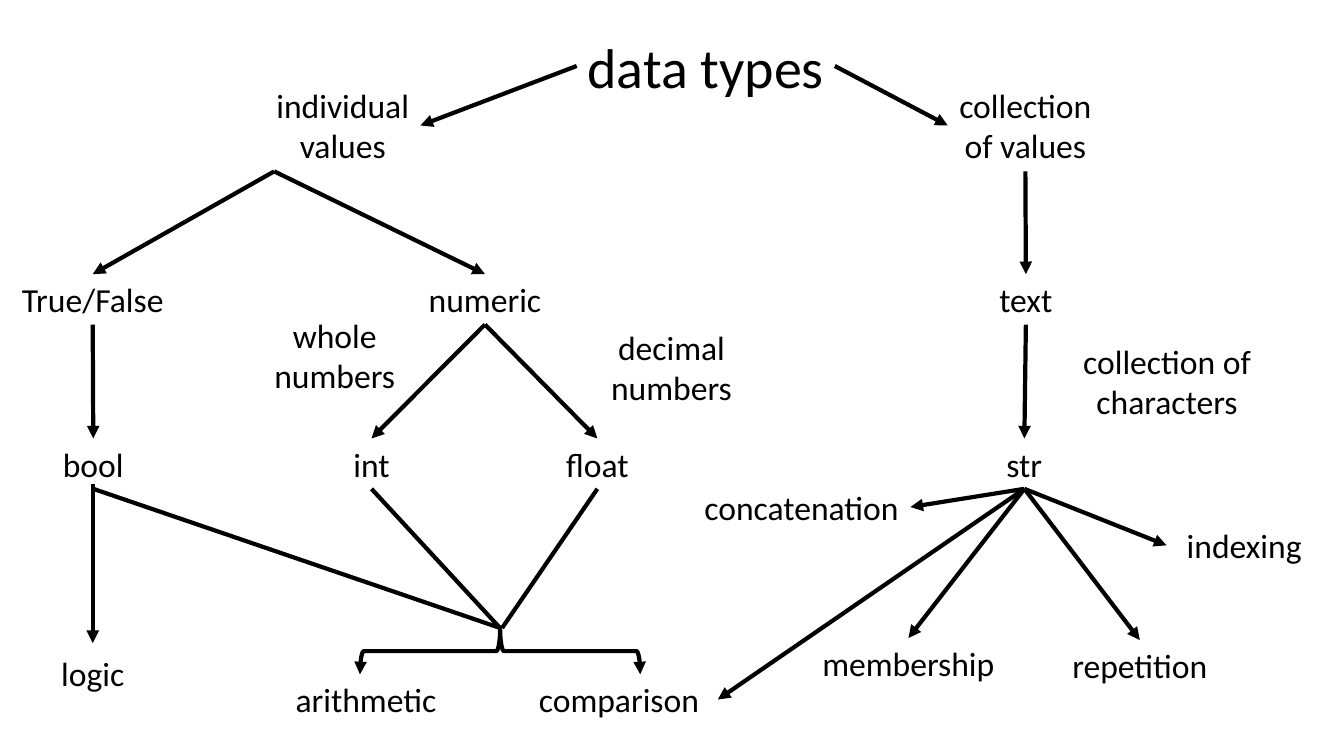
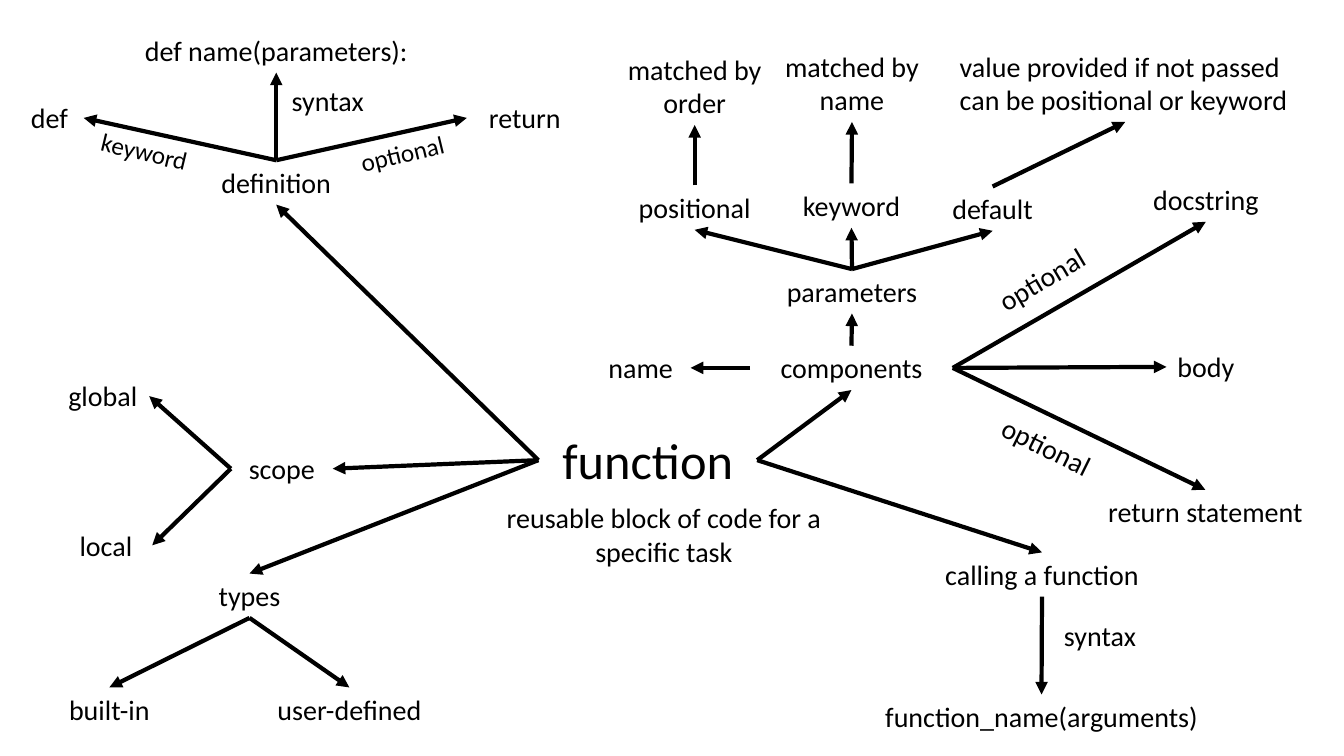
from dataclasses import dataclass

from lxml import etree
from pptx import Presentation
from pptx.dml.color import RGBColor
from pptx.enum.shapes import MSO_CONNECTOR, MSO_SHAPE
from pptx.enum.text import MSO_AUTO_SIZE, PP_ALIGN
from pptx.oxml.ns import qn
from pptx.util import Inches, Pt

STRAIGHT = MSO_CONNECTOR.STRAIGHT
LEFT_BRACE = MSO_SHAPE.LEFT_BRACE
FIT_SHAPE = MSO_AUTO_SIZE.SHAPE_TO_FIT_TEXT
ALIGN_CENTER, ALIGN_LEFT = PP_ALIGN.CENTER, PP_ALIGN.LEFT
TOP, LEFT, BOTTOM, RIGHT = range(4)


@dataclass(frozen=True)
class Theme:
    font: str = "Calibri"
    ink: RGBColor = RGBColor(0x00, 0x00, 0x00)
    paper: RGBColor = RGBColor(0xFF, 0xFF, 0xFF)
    line: float = 3
    types_title: int = 40
    types_label: int = 24
    function_title: int = 36
    function_label: int = 20
    function_note: int = 18


THEME = Theme()


def add_label(s, text, box, size, align=ALIGN_CENTER, rotation=0, filled=False):
    label = s.shapes.add_textbox(*map(Inches, box))
    label.rotation = rotation
    if filled:
        label.fill.solid()
        label.fill.fore_color.rgb = THEME.paper
    tf = label.text_frame
    tf.word_wrap = True
    tf.auto_size = FIT_SHAPE
    for i, line in enumerate(text.split("\n")):
        p = tf.paragraphs[0] if i == 0 else tf.add_paragraph()
        p.alignment = align
        r = p.add_run()
        r.text = line
        r.font.name = THEME.font
        r.font.size = Pt(size)
        r.font.color.rgb = THEME.ink
    return label


def style_line(shape, *arrow_ends):
    """Draw the theme line; arrow_ends names headEnd and/or tailEnd, in that order."""
    shape.line.color.rgb = THEME.ink
    shape.line.width = Pt(THEME.line)
    ln = shape.element.spPr.find(qn("a:ln"))
    for end in arrow_ends:
        etree.SubElement(ln, qn(f"a:{end}"), type="triangle")


def add_link(s, nodes, start, end, arrow=True):
    """Join two ends, each a (node name, side) pair or an (x, y) point."""
    points = [(0, 0) if isinstance(e[0], str) else e for e in (start, end)]
    cxn = s.shapes.add_connector(STRAIGHT, *(Inches(v) for pt in points for v in pt))
    for e, connect in ((start, cxn.begin_connect), (end, cxn.end_connect)):
        if isinstance(e[0], str):
            connect(nodes[e[0]], e[1])
    style_line(cxn, *(["tailEnd"] if arrow else []))
    etree.SubElement(cxn.element.spPr, qn("a:effectLst"))


def add_fans(s, nodes, fans):
    """Each fan is a start followed by the ends its arrows reach."""
    for start, *ends in fans:
        for end in ends:
            add_link(s, nodes, start, end)


def add_brace(s, box):
    brace = s.shapes.add_shape(LEFT_BRACE, *map(Inches, box))
    brace.rotation = 90
    brace.shadow.inherit = False
    brace.fill.background()
    style_line(brace, "headEnd", "tailEnd")


def build_data_types(s):
    size, height = THEME.types_label, 0.5
    nodes = {"data types": add_label(s, "data types", (5.72, 0.27, 2.56, 0.77),
                                     THEME.types_title, filled=True)}
    for text, x in (("individual values", 2.63), ("collection of values", 9.4)):
        nodes[text] = add_label(s, text, (x, 0.79, 1.54, 0.91), size, filled=True)
    for text, x, y, w in (
        ("True/False", 0.1, 2.72, 1.64),
        ("numeric", 4.12, 2.72, 1.38),
        ("text", 9.81, 2.72, 0.73),
        ("bool", 0.51, 4.35, 0.83),
        ("int", 3.4, 4.35, 0.57),
        ("float", 5.5, 4.35, 0.85),
        ("str", 9.86, 4.35, 0.6),
        ("logic", 0.43, 6.43, 0.98),
        ("arithmetic", 2.78, 6.69, 1.7),
        ("comparison", 5.16, 6.69, 1.96),
        ("concatenation", 6.87, 4.78, 2.16),
        ("membership", 7.93, 6.33, 2.16),
        ("repetition", 10.46, 6.35, 1.69),
        ("indexing", 11.57, 5.16, 1.54),
    ):
        nodes[text] = add_label(s, text, (x, y, w, height), size)
    for text, x, y, w in (
        ("whole numbers", 2.53, 3.07, 1.58),
        ("decimal numbers", 5.87, 3.19, 1.58),
        ("collection of characters", 10.38, 3.33, 2.39),
    ):
        add_label(s, text, (x, y, w, 0.91), size)

    add_fans(s, nodes, (
        (("data types", LEFT), ("individual values", RIGHT)),
        (("data types", RIGHT), ("collection of values", LEFT)),
        ((2.72, 1.7), ("True/False", TOP), ("numeric", TOP)),
        (("collection of values", BOTTOM), ("text", TOP)),
        (("True/False", BOTTOM), ("bool", TOP)),
        (("numeric", BOTTOM), ("int", TOP), ("float", TOP)),
        (("text", BOTTOM), ("str", TOP)),
        ((0.92, 4.8), (0.92, 6.38)),
        (("str", BOTTOM), ("concatenation", RIGHT), ("indexing", LEFT),
         ("repetition", TOP), ("membership", TOP), ("comparison", RIGHT)),
    ))
    add_brace(s, (4.73, 5.07, 0.46, 2.78))
    for text, x in (("bool", 4.96), ("int", 4.96), ("float", 4.98)):
        add_link(s, nodes, (text, BOTTOM), (x, 6.23), arrow=False)


def build_function(s):
    size, one_line, two_lines = THEME.function_label, 0.44, 0.77
    nodes = {"function": add_label(s, "function", (5.34, 4.21, 2.17, 0.71),
                                   THEME.function_title, filled=True)}
    for text, x, y, w in (
        ("definition", 1.97, 1.59, 1.54),
        ("def", 0.15, 0.95, 0.68),
        ("def name(parameters):", 1.3, 0.28, 2.88),
        ("return", 4.63, 0.95, 1.15),
        ("components", 7.44, 3.43, 2.01),
        ("name", 5.86, 3.43, 0.99),
        ("parameters", 7.35, 2.67, 2.2),
        ("positional", 6.07, 1.84, 1.64),
        ("keyword", 7.82, 1.82, 1.25),
        ("default", 9.31, 1.85, 1.07),
        ("docstring", 11.29, 1.76, 1.34),
        ("body", 11.57, 3.42, 0.78),
        ("return statement", 10.87, 4.86, 2.17),
        ("types", 1.97, 5.69, 1.01),
        ("built-in", 0.58, 6.82, 1.01),
        ("user-defined", 2.64, 6.82, 1.65),
        ("scope", 2.29, 4.43, 1.01),
        ("global", 0.56, 3.71, 0.92),
        ("local", 0.59, 5.19, 0.92),
        ("calling a function", 9.25, 5.48, 2.17),
        ("function_name(arguments)", 8.57, 6.89, 3.52),
    ):
        nodes[text] = add_label(s, text, (x, y, w, one_line), size, filled=True)
    for text, x, y, w in (
        ("matched by order", 6.07, 0.47, 1.64),
        ("matched by name", 7.63, 0.44, 1.64),
        ("reusable block of code for a specific task", 4.63, 4.92, 3.91),
    ):
        nodes[text] = add_label(s, text, (x, y, w, two_lines), size, filled=True)
    nodes["default rule"] = add_label(
        s, "value provided if not passed\ncan be positional or keyword",
        (9.42, 0.44, 3.48, two_lines), size, ALIGN_LEFT)
    for text, x, y, w, rotation in (
        ("syntax", 2.79, 0.78, 0.92, 0),
        ("syntax", 10.45, 6.09, 0.92, 0),
        ("optional", 9.72, 2.55, 1.22, 329.4),
        ("optional", 9.71, 4.21, 1.34, 26.4),
    ):
        add_label(s, text, (x, y, w, one_line), size, rotation=rotation, filled=True)
    for text, x, y, w, align, rotation in (
        ("optional", 3.46, 1.32, 1.06, ALIGN_CENTER, 346.4),
        ("keyword", 0.9, 1.31, 1.15, ALIGN_LEFT, 13.5),
    ):
        add_label(s, text, (x, y, w, 0.4), THEME.function_note, align, rotation)

    add_fans(s, nodes, (
        (("function", LEFT), ("definition", BOTTOM), ("scope", RIGHT), ("types", TOP)),
        (("function", RIGHT), ("components", BOTTOM), ("calling a function", TOP)),
        (("definition", TOP), ("def", RIGHT), ("def name(parameters):", BOTTOM),
         ("return", LEFT)),
        (("scope", LEFT), ("global", RIGHT), ("local", RIGHT)),
        (("types", BOTTOM), ("built-in", TOP), ("user-defined", TOP)),
        (("components", LEFT), ("name", RIGHT)),
        (("components", TOP), ("parameters", BOTTOM)),
        (("components", RIGHT), ("docstring", BOTTOM), ("body", LEFT),
         ("return statement", TOP)),
        (("parameters", TOP), ("positional", BOTTOM), ("keyword", BOTTOM),
         ("default", BOTTOM)),
        (("positional", TOP), ("matched by order", BOTTOM)),
        (("keyword", TOP), ("matched by name", BOTTOM)),
        (("default", TOP), ("default rule", BOTTOM)),
        (("calling a function", BOTTOM), ("function_name(arguments)", TOP)),
    ))


def main():
    prs = Presentation()
    prs.slide_width, prs.slide_height = Inches(13.33), Inches(7.5)
    for build in (build_data_types, build_function):
        s = prs.slides.add_slide(prs.slide_layouts[6])
        s.background.fill.solid()
        s.background.fill.fore_color.rgb = THEME.paper
        build(s)
    prs.save("out.pptx")


if __name__ == "__main__":
    main()
